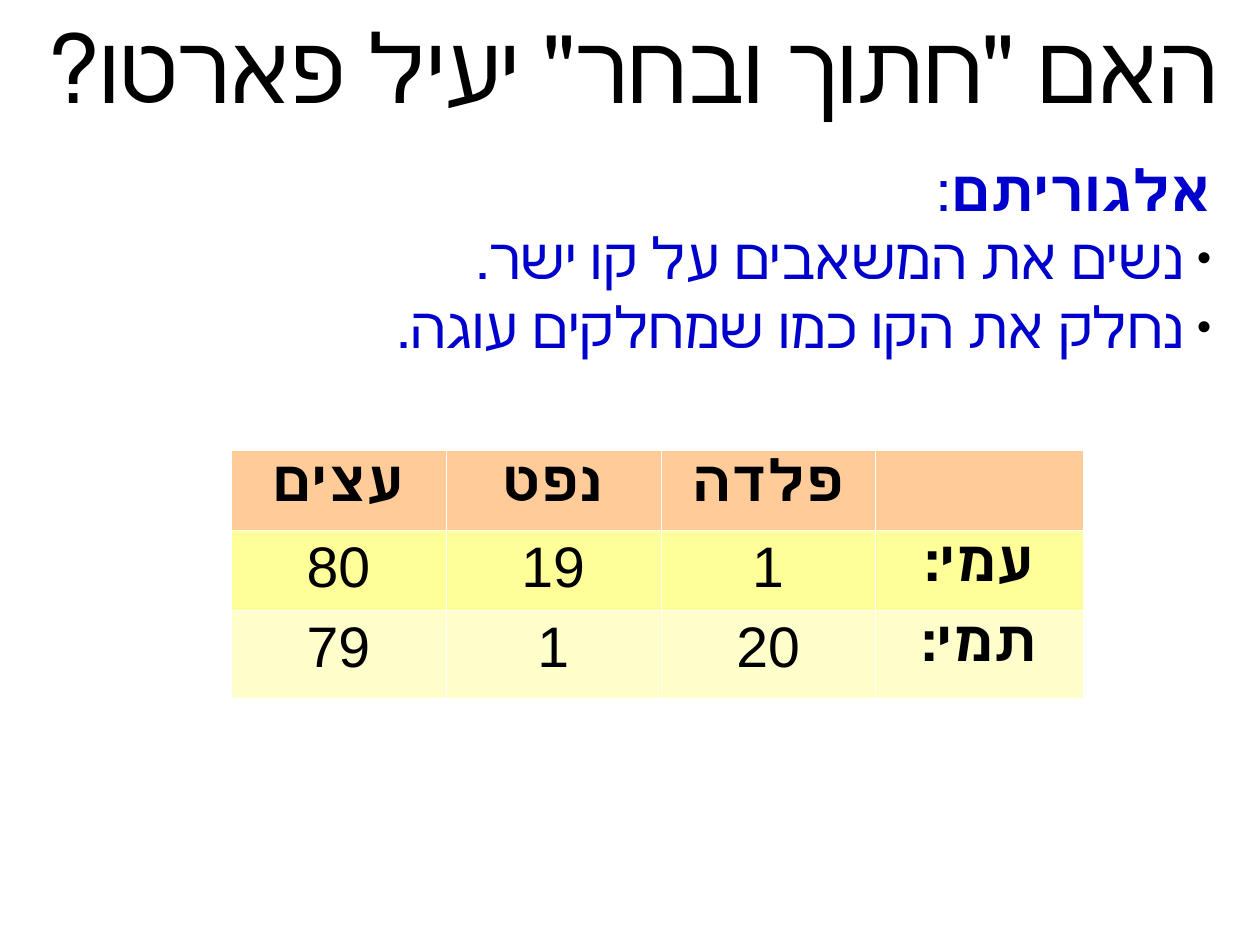
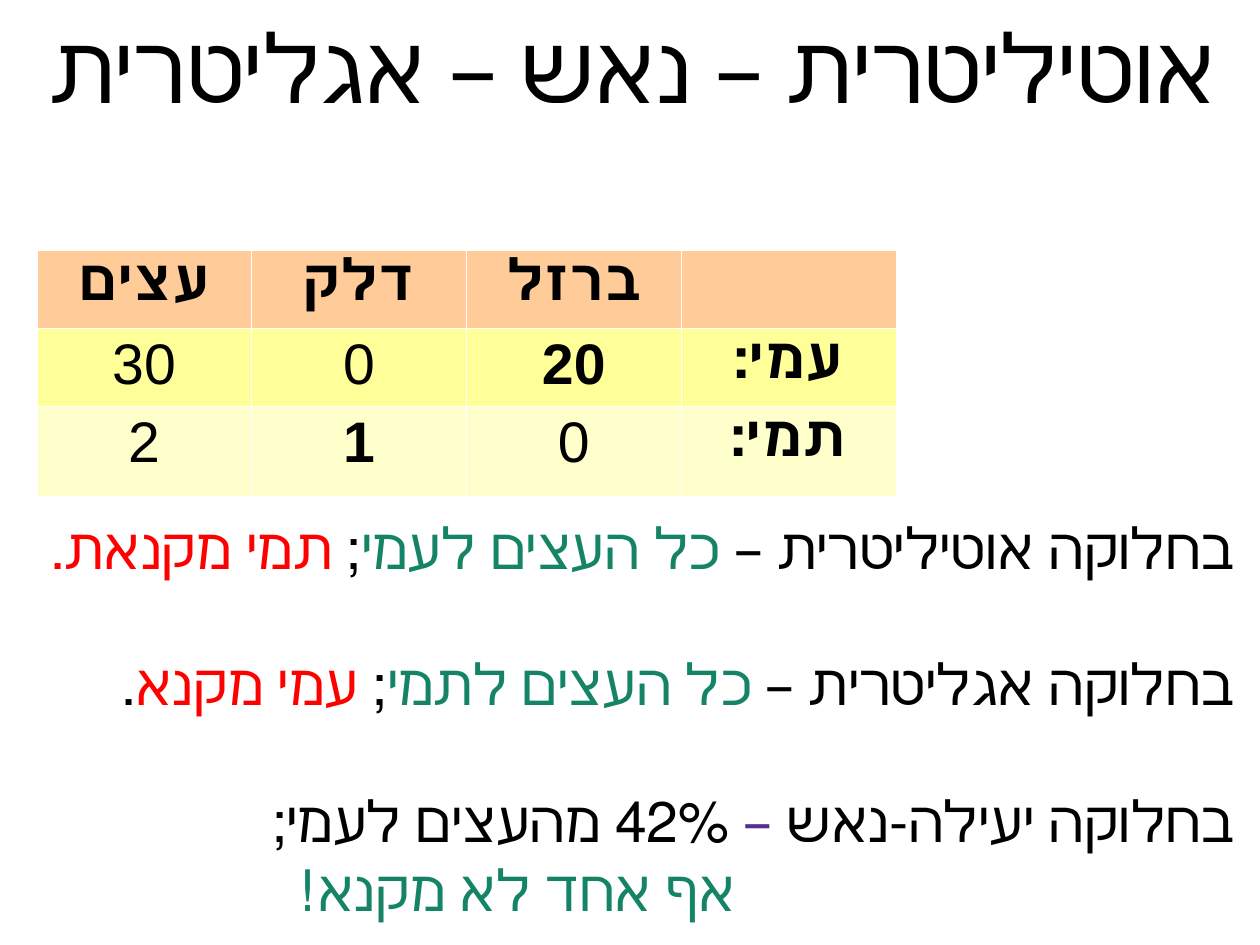
from pptx import Presentation
from pptx.dml.color import RGBColor
from pptx.enum import text
from pptx.oxml.xmlchemy import OxmlElement
from pptx.util import Inches, Pt

CM_PER_INCH = 2.54
SLIDE_W, SLIDE_H = Inches(28 / CM_PER_INCH), Inches(21 / CM_PER_INCH)
FONT, BODY_SIZE, TITLE_SIZE = "Arial", 36, 60
BLACK, WHITE, BLUE = "000000", "FFFFFF", "0000CC"
GREEN, RED, PURPLE = "158466", "FF0000", "55308D"
ROW_FILLS = ["FFCC99", "FFFF99", "FFFFCC"]
BLANK_LINE = 43  # points

# Content: each run is (text, colour, bold)
ALGORITHM = [
    {"runs": [("אלגוריתם", BLUE, True), (":", BLUE, False)]},
    {"runs": [("נשים את המשאבים על קו ישר.", BLUE, False)], "bullet": True},
    {"runs": [("נחלק את הקו כמו שמחלקים עוגה.", BLUE, False)], "bullet": True},
]
DIVISIONS = [
    {"runs": [("בחלוקה אוטיליטרית – ", BLACK, False), ("כל העצים לעמי", GREEN, False),
              ("; ", BLACK, False), ("תמי מקנאת.", RED, False)]},
    {"runs": [("בחלוקה אגליטרית – ", BLACK, False), ("כל העצים לתמי", GREEN, False),
              ("; ", BLACK, False), ("עמי מקנא", RED, False), (".", BLACK, False)],
     "before": BLANK_LINE},
    {"runs": [("בחלוקה יעילה-נאש ", BLACK, False), ("– ", PURPLE, False),
              ("42% מהעצים לעמי;", BLACK, False)], "before": BLANK_LINE},
    {"runs": [("אף אחד לא מקנא!", GREEN, False)], "indent": 4.37},
]
SLIDES = [
    {"title": "האם \"חתוך ובחר\" יעיל פארטו?", "title_box": (0.2, 0.05, 10.9, 1.05),
     "body": ALGORITHM, "body_box": (0.4, 1.3, 10.3, 6.34),
     "table": {"at": (2.02, 3.94), "cols": [1.88, 1.88, 1.88, 1.82],
               "rows": [0.68, 0.68, 0.77], "pad": 0.05, "bold_values": [],
               "values": [["עצים", "נפט", "פלדה", ""], ["80", "19", "1", "עמי:"],
                          ["79", "1", "20", "תמי:"]]}},
    {"title": "אוטיליטרית – נאש – אגליטרית ", "title_box": (0, 0.05, 11.1, 1.05),
     "body": DIVISIONS, "body_box": (0.32, 4.43, 10.58, 3.75),
     "table": {"at": (0.32, 2.19), "cols": [1.88] * 4,
               "rows": [0.68, 0.68, 0.79], "pad": 0.04, "bold_values": [(1, 2), (2, 1)],
               "values": [["עצים", "דלק", "ברזל", ""], ["30", "0", "20", "עמי:"],
                          ["2", "1", "0", "תמי:"]]}},
]


def rgb(color):
    return RGBColor.from_string(color)


def set_font(font, size, color=BLACK, bold=False):
    font.name, font.size, font.bold = FONT, Pt(size), bold
    font.color.rgb = rgb(color)


def add_child(parent, tag, **attrs):
    el = OxmlElement(tag)
    for name, value in attrs.items():
        el.set(name, str(value))
    parent.append(el)
    return el


def right_to_left(p, margin=0, indent=0):
    pPr = p._p.get_or_add_pPr()
    pPr.set("rtl", "1")
    pPr.set("marL", str(Inches(margin)))
    pPr.set("indent", str(Inches(indent)))
    return pPr


def add_text_box(s, box):
    tf = s.shapes.add_textbox(*map(Inches, box)).text_frame
    tf.word_wrap = True
    return tf


def add_title(s, title, box):
    tf = add_text_box(s, box)
    tf.margin_left = tf.margin_right = tf.margin_top = tf.margin_bottom = 0
    tf.vertical_anchor = text.MSO_ANCHOR.MIDDLE
    p = tf.paragraphs[0]
    p.text, p.alignment = title, text.PP_ALIGN.CENTER
    set_font(p.font, TITLE_SIZE)
    right_to_left(p, 0.24)


def add_body(s, paragraphs, box):
    tf = add_text_box(s, box)
    for i, item in enumerate(paragraphs):
        p = tf.add_paragraph() if i else tf.paragraphs[0]
        p.alignment = text.PP_ALIGN.RIGHT
        p.space_before = Pt(item.get("before", 0))
        if item.get("bullet"):
            pPr = right_to_left(p, 0.24, -0.24)
            add_child(add_child(pPr, "a:buClr"), "a:srgbClr", val=BLACK)
            add_child(pPr, "a:buSzPct", val=45000)
            add_child(pPr, "a:buFont", typeface=FONT)
            add_child(pPr, "a:buChar", char="●")
        else:
            right_to_left(p, item.get("indent", 0))
        for words, color, bold in item["runs"]:
            r = p.add_run()
            r.text = words
            set_font(r.font, BODY_SIZE, color, bold)


def add_borders(cell):
    tcPr = cell._tc.get_or_add_tcPr()
    for i, side in enumerate(["a:lnL", "a:lnR", "a:lnT", "a:lnB"]):
        ln = OxmlElement(side)
        ln.set("w", str(Pt(0.06)))
        add_child(add_child(ln, "a:solidFill"), "a:srgbClr", val=WHITE)
        tcPr.insert(i, ln)


def add_value_table(s, at, cols, rows, pad, bold_values, values):
    size = sum(cols), sum(rows)
    table = s.shapes.add_table(len(rows), len(cols), *map(Inches, at + size)).table
    table.first_row = table.horz_banding = False
    for col, width in zip(table.columns, cols):
        col.width = Inches(width)
    for i, row in enumerate(table.rows):
        row.height = Inches(rows[i])
        for j, cell in enumerate(row.cells):
            cell.margin_top = cell.margin_bottom = Inches(pad)
            cell.fill.solid()
            cell.fill.fore_color.rgb = rgb(ROW_FILLS[i])
            add_borders(cell)
            if not values[i][j]:
                continue
            is_name = i > 0 and j == len(cols) - 1
            p = cell.text_frame.paragraphs[0]
            p.text, p.alignment = values[i][j], text.PP_ALIGN.CENTER
            set_font(p.font, BODY_SIZE, bold=i == 0 or is_name or (i, j) in bold_values)
            if is_name:
                right_to_left(p)


def main():
    prs = Presentation()
    prs.slide_width, prs.slide_height = SLIDE_W, SLIDE_H
    for d in SLIDES:
        s = prs.slides.add_slide(prs.slide_layouts[6])
        add_title(s, d["title"], d["title_box"])
        add_body(s, d["body"], d["body_box"])
        add_value_table(s, **d["table"])
    prs.save("out.pptx")


if __name__ == "__main__":
    main()
